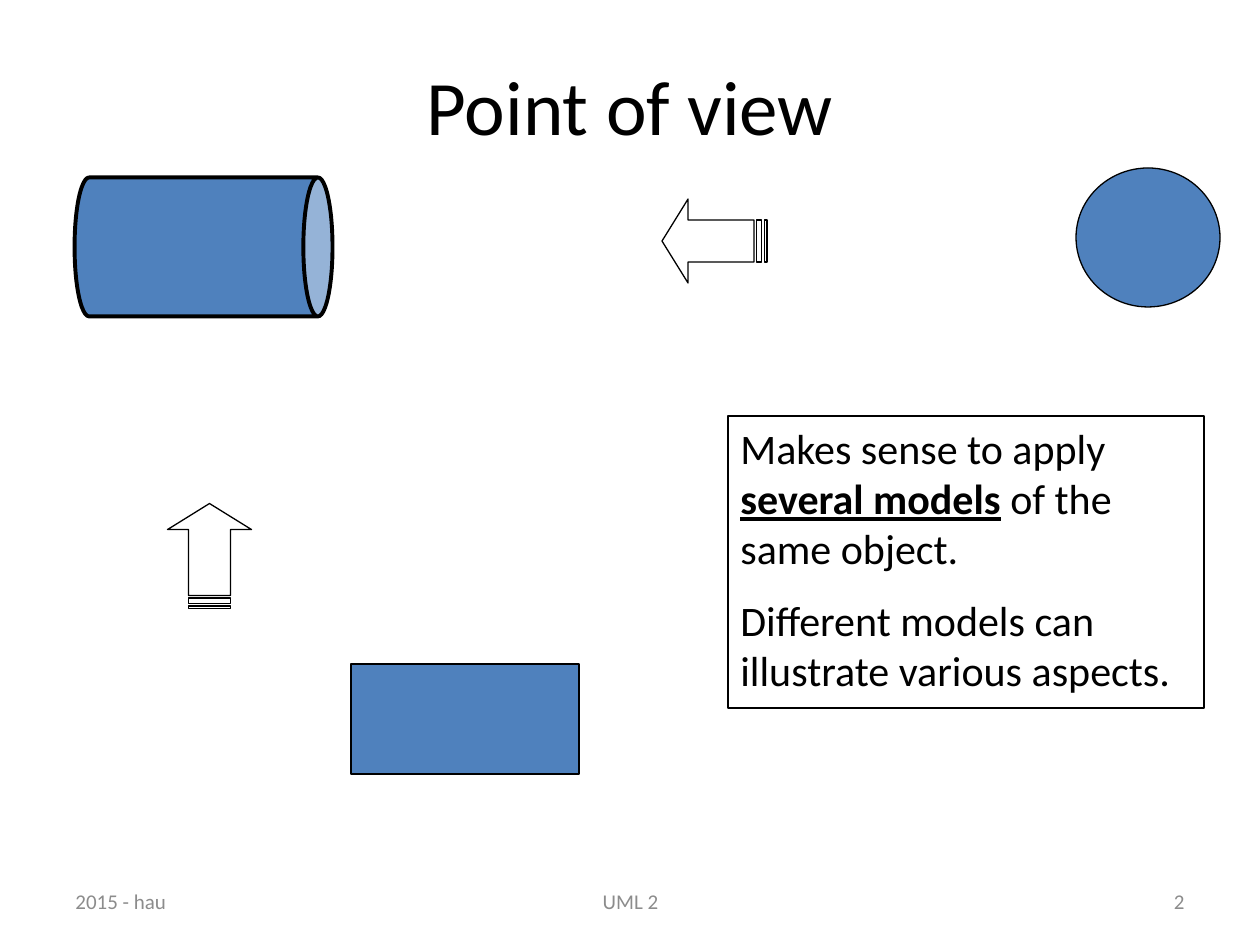
from dataclasses import dataclass

from pptx import Presentation
from pptx import util as u
from pptx.dml.color import RGBColor
from pptx.enum import shapes, text

PX_PER_INCH = 126
FONT = "Calibri"
COLORS = {"blue": "4F81BD", "black": "000000", "gray": "8C8C8C"}
KIND = shapes.MSO_SHAPE
ALIGN = text.PP_ALIGN
ANCHOR = text.MSO_ANCHOR


@dataclass
class Figure:
    kind: shapes.MSO_SHAPE
    box: tuple[int, int, int, int]
    fill: str | None = "blue"
    line: float = 0.75
    rotation: int = 0
    adjustments: tuple[float, ...] = ()


@dataclass
class Footer:
    words: str
    box: tuple[int, int, int, int]
    align: text.PP_ALIGN


FIGURES = [
    Figure(KIND.CAN, (134, 118, 139, 258), line=2.25, rotation=90, adjustments=(0.21,)),
    Figure(KIND.OVAL, (1076, 168, 144, 139)),
    Figure(KIND.RECTANGLE, (351, 664, 228, 110)),
    Figure(KIND.STRIPED_RIGHT_ARROW, (662, 199, 105, 84), None,
           rotation=180, adjustments=(0.5, 0.31)),
    Figure(KIND.STRIPED_RIGHT_ARROW, (157, 514, 105, 84), None,
           rotation=270, adjustments=(0.5, 0.31)),
]
MESSAGE = Figure(KIND.RECTANGLE, (728, 416, 476, 292), None)
MESSAGE_PARAGRAPHS = [
    [("Makes sense to apply ", False), ("several models", True),
     (" of the same object.", False)],
    [("Different models can illustrate various aspects.", False)],
]
FOOTERS = [
    Footer("2015 - hau", (63, 876, 294, 50), ALIGN.LEFT),
    Footer("UML 2", (431, 876, 399, 50), ALIGN.CENTER),
    Footer("2", (903, 876, 294, 50), ALIGN.RIGHT),
]


def px(*lengths: int) -> list[int]:
    return [round(n * u.Inches(1) / PX_PER_INCH) for n in lengths]


def rgb(name: str) -> RGBColor:
    return RGBColor.from_string(COLORS[name])


def add_run(p, words: str, size: int, color: str = "black", **extra) -> None:
    r = p.add_run()
    r.text = words
    for name, value in {"name": FONT, "size": u.Pt(size), **extra}.items():
        setattr(r.font, name, value)
    r.font.color.rgb = rgb(color)


def add_figure(s, figure: Figure):
    sp = s.shapes.add_shape(figure.kind, *px(*figure.box))
    sp.shadow.inherit = False
    sp.rotation = figure.rotation
    for i, value in enumerate(figure.adjustments):
        sp.adjustments[i] = value
    if figure.fill:
        sp.fill.solid()
        sp.fill.fore_color.rgb = rgb(figure.fill)
    else:
        sp.fill.background()
    sp.line.color.rgb = rgb("black")
    sp.line.width = u.Pt(figure.line)
    return sp


def add_title(s, words: str) -> None:
    sp = s.shapes.title
    sp.left, sp.top, sp.width, sp.height = px(63, 38, 1134, 134)
    tf = sp.text_frame
    tf.vertical_anchor = ANCHOR.MIDDLE
    p = tf.paragraphs[0]
    p.alignment = ALIGN.CENTER
    add_run(p, words, 44)


def add_message(s) -> None:
    tf = add_figure(s, MESSAGE).text_frame
    tf.word_wrap = True
    tf.vertical_anchor = ANCHOR.TOP
    for i, runs in enumerate(MESSAGE_PARAGRAPHS):
        p = tf.add_paragraph() if i else tf.paragraphs[0]
        p.alignment = ALIGN.LEFT
        p.space_before = u.Pt(12 if i else 0)
        for words, strong in runs:
            add_run(p, words, 24, bold=strong, underline=strong)


def add_footer(s, footer: Footer) -> None:
    tf = s.shapes.add_textbox(*px(*footer.box)).text_frame
    tf.word_wrap = True
    tf.vertical_anchor = ANCHOR.MIDDLE
    p = tf.paragraphs[0]
    p.alignment = footer.align
    add_run(p, footer.words, 12, "gray")


def main() -> None:
    prs = Presentation()
    prs.slide_width, prs.slide_height = px(1260, 945)
    s = prs.slides.add_slide(prs.slide_layouts[5])

    # Title and footer line
    add_title(s, "Point of view")
    for footer in FOOTERS:
        add_footer(s, footer)

    # The cylinder, its two views and the viewing arrows
    for figure in FIGURES:
        add_figure(s, figure)

    # Framed conclusion
    add_message(s)

    prs.save("out.pptx")


if __name__ == "__main__":
    main()
